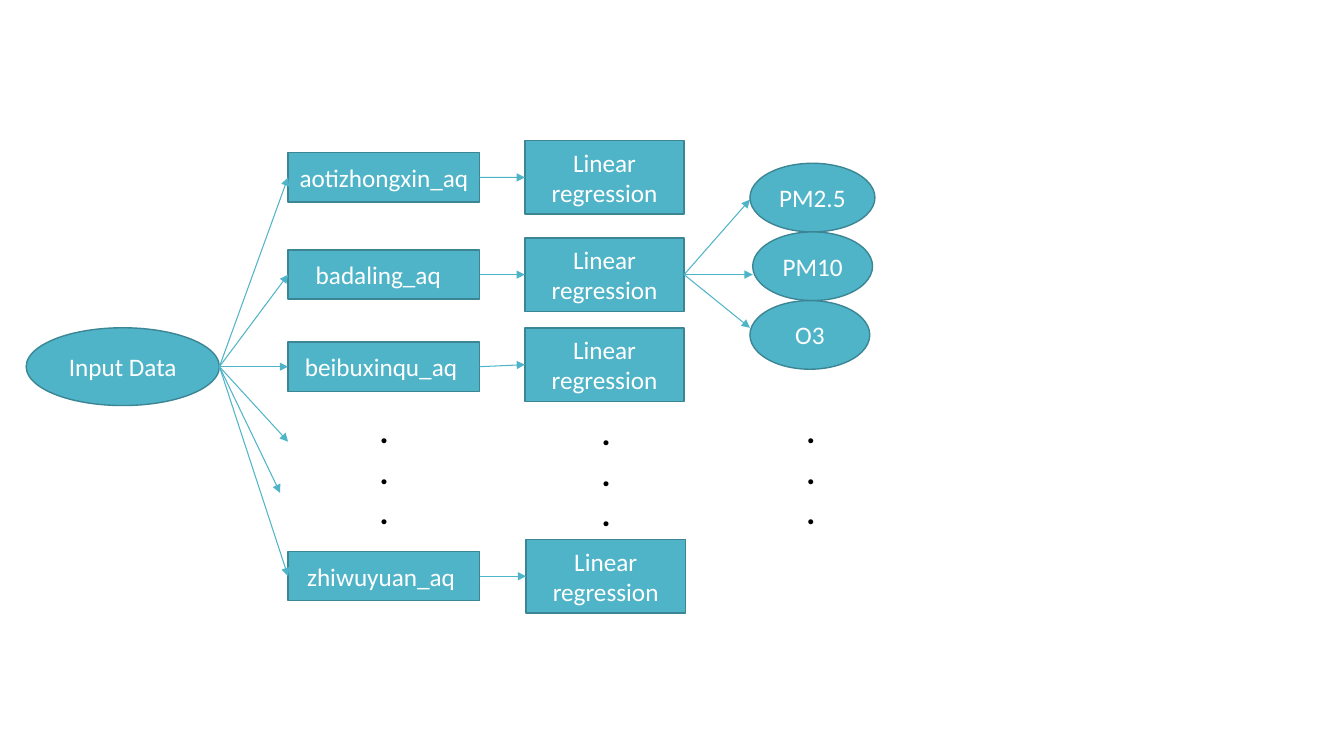
from dataclasses import dataclass

from lxml import etree
from pptx import Presentation
from pptx.dml.color import RGBColor
from pptx.enum.shapes import MSO_CONNECTOR, MSO_SHAPE
from pptx.enum.text import MSO_ANCHOR, PP_ALIGN
from pptx.oxml.ns import qn
from pptx.util import Cm, Pt

RECT, ELLIPSE = MSO_SHAPE.RECTANGLE, MSO_SHAPE.OVAL
STRAIGHT = MSO_CONNECTOR.STRAIGHT
LEFT, CENTER = PP_ALIGN.LEFT, PP_ALIGN.CENTER
MIDDLE = MSO_ANCHOR.MIDDLE
SIDE_LEFT, SIDE_RIGHT = 1, 3


@dataclass(frozen=True)
class Theme:
    font: str = "Calibri"
    fill: RGBColor = RGBColor(0x50, 0xB4, 0xC8)
    outline: RGBColor = RGBColor(0x3B, 0x85, 0x94)
    label: RGBColor = RGBColor(0xFF, 0xFF, 0xFF)
    dots: RGBColor = RGBColor(0, 0, 0)
    label_size: int = 18
    dots_size: int = 24
    outline_width: float = 1
    arrow_width: float = 0.75


def write_text(tf, *lines, font, size, color, bold=False, align=CENTER):
    tf.word_wrap = True
    for i, line in enumerate(lines):
        p = tf.add_paragraph() if i else tf.paragraphs[0]
        p.alignment = align
        r = p.add_run()
        r.text = line
        r.font.name, r.font.size, r.font.bold = font, Pt(size), bold
        r.font.color.rgb = color


class Diagram:
    """Draws on one slide; lengths are in centimetres."""

    def __init__(self, slide, theme):
        self.shapes = slide.shapes
        self.theme = theme

    def node(self, kind, text, left, middle, width, height, shift=0):
        """Add a shape centred on height middle, its label moved left by shift."""
        t = self.theme
        sp = self.shapes.add_shape(kind, Cm(left), Cm(middle - height / 2),
                                   Cm(width), Cm(height))
        sp.shadow.inherit = False
        sp.fill.solid()
        sp.fill.fore_color.rgb = t.fill
        sp.line.color.rgb = t.outline
        sp.line.width = Pt(t.outline_width)
        tf = sp.text_frame
        tf.vertical_anchor = MIDDLE
        tf.margin_right = Cm(0.25 + 2 * shift)
        write_text(tf, text, font=t.font, size=t.label_size, color=t.label)
        return sp

    def arrow(self, start, end):
        """Each end is an (x, y) point, or a (rectangle, side) pair to join."""
        t = self.theme
        joins = [isinstance(e[0], (int, float)) is False for e in (start, end)]
        points = [(0, 0) if joined else (Cm(e[0]), Cm(e[1]))
                  for e, joined in zip((start, end), joins)]
        line = self.shapes.add_connector(STRAIGHT, *points[0], *points[1])
        if joins[0]:
            line.begin_connect(*start)
        if joins[1]:
            line.end_connect(*end)
        line.line.color.rgb = t.fill
        line.line.width = Pt(t.arrow_width)
        etree.SubElement(line.line._get_or_add_ln(), qn("a:tailEnd"), type="triangle")
        etree.SubElement(line._element.spPr, qn("a:effectLst"))

    def vertical_dots(self, left, top):
        t = self.theme
        box = self.shapes.add_textbox(Cm(left), Cm(top), Cm(0.69), Cm(3.33))
        write_text(box.text_frame, ".", ".", ".", font=t.font, size=t.dots_size,
                   color=t.dots, bold=True, align=LEFT)


def main():
    prs = Presentation()
    prs.slide_width, prs.slide_height = Cm(33.87), Cm(19.05)
    d = Diagram(prs.slides.add_slide(prs.slide_layouts[6]), Theme())

    d.node(ELLIPSE, "Input Data", 0.66, 9.24, 4.87, 1.96)
    source = (5.53, 9.24)

    # station, its middle, label shift, left and middle of its model
    rows = [
        ("aotizhongxin_aq", 4.47, 0, 13.23, 4.47),
        ("badaling_aq", 6.92, 0.14, 13.23, 6.92),
        ("beibuxinqu_aq", 9.24, 0.07, 13.23, 9.19),
        ("zhiwuyuan_aq", 14.52, 0.07, 13.26, 14.52),
    ]
    models = {}
    for name, middle, shift, model_left, model_middle in rows:
        station = d.node(RECT, name, 7.26, middle, 4.83, 1.24, shift)
        model = d.node(RECT, "Linear regression", model_left, model_middle, 4.01, 1.85)
        d.arrow(source, (station, SIDE_LEFT))
        d.arrow((station, SIDE_RIGHT), (model, SIDE_LEFT))
        models[name] = model
    for omitted_station in ((7.26, 11.13), (7.06, 12.42)):
        d.arrow(source, omitted_station)

    pollutants = [
        ("PM2.5", 18.9, 3.15, 5.03),
        ("PM10", 18.97, 3.02, 6.92),
        ("O3", 18.9, 3.02, 8.26),
    ]
    first_middle, pitch = 4.98, 1.73
    for i, (name, left, width, arrow_y) in enumerate(pollutants):
        d.arrow((models["badaling_aq"], SIDE_RIGHT), (left, arrow_y))
        d.node(ELLIPSE, name, left, first_middle + i * pitch, width, pitch)

    for left, top in ((9.32, 10.21), (14.91, 10.26), (20.07, 10.21)):
        d.vertical_dots(left, top)

    prs.save("out.pptx")


if __name__ == "__main__":
    main()
